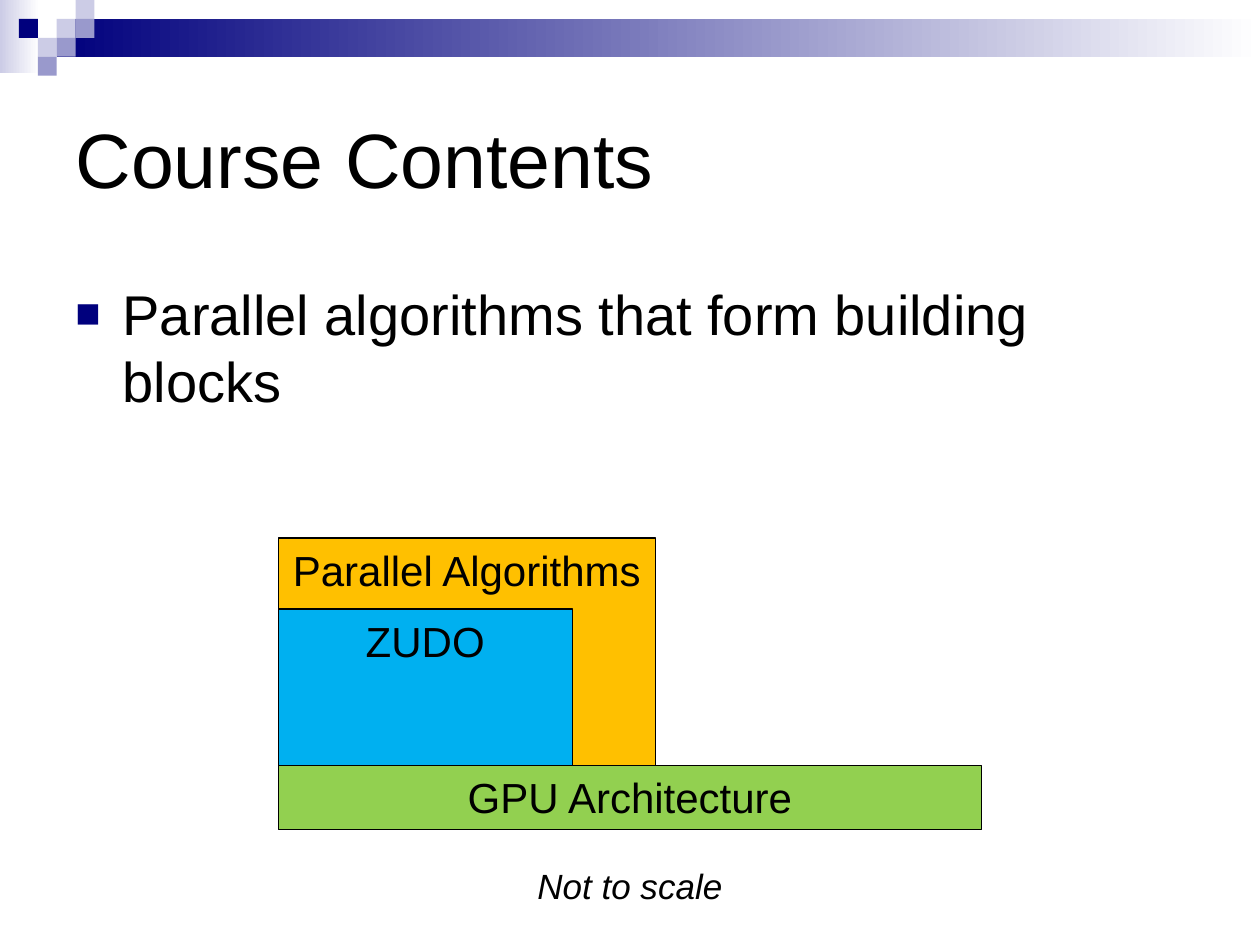
from lxml import etree
from pptx import Presentation
from pptx.dml.color import RGBColor
from pptx.enum import shapes, text
from pptx.oxml.ns import qn
from pptx.util import Pt

HUES = {
    "navy": "00007D", "mid": "9999CC", "pale": "CCCCE6", "white": "FFFFFF",
    "black": "000000", "gold": "FFC000", "blue": "00B0F0", "green": "92D050",
}
TITLE = "Course Contents"
POINT = "Parallel algorithms that form building blocks"
NOTE = "Not to scale"
BANDS = [
    ((0, 0, 22.5, 42), "pale"),
    ((32.5, 11, 687.5, 21.5), "navy"),
]
TILE = 10.8
TILES = [
    (3, 1, "pale"), (4, 0, "pale"), (4, 1, "mid"), (2, 2, "pale"),
    (1, 1, "navy"), (3, 2, "mid"), (2, 3, "mid"),
]
LEFT = 159
BLOCKS = [
    ("Parallel Algorithms", 307.5, 215.5, 152.5, "gold"),
    ("ZUDO", 348, 168, 94, "blue"),
    ("GPU Architecture", 437.5, 402, 36.5, "green"),
]


def hue(name):
    return RGBColor.from_string(HUES[name])


def rect(box, fill):
    item = slide.shapes.add_shape(shapes.MSO_SHAPE.RECTANGLE, *map(Pt, box))
    item.shadow.inherit = False
    item.fill.solid()
    item.fill.fore_color.rgb = hue(fill)
    item.line.fill.background()
    return item


def write(item, words, size, align, anchor):
    frame = item.text_frame
    frame.word_wrap = True
    frame.auto_size = text.MSO_AUTO_SIZE.NONE
    frame.vertical_anchor = anchor
    para = frame.paragraphs[0]
    para.text = words
    para.alignment = align
    para.font.name = "Arial"
    para.font.size = Pt(size)
    para.font.color.rgb = hue("black")
    return para


def bullet(para, mark, tint, scale):
    props = para._p.get_or_add_pPr()
    props.set("marL", str(Pt(27)))
    props.set("indent", str(-Pt(27)))
    color = etree.SubElement(props, qn("a:buClr"))
    etree.SubElement(color, qn("a:srgbClr"), val=HUES[tint])
    etree.SubElement(props, qn("a:buSzPct"), val=str(scale * 1000))
    etree.SubElement(props, qn("a:buFont"), typeface="Arial")
    etree.SubElement(props, qn("a:buChar"), char=mark)
    props.append(props.find(qn("a:defRPr")))


deck = Presentation()
deck.slide_width, deck.slide_height = Pt(720), Pt(540)
slide = deck.slides.add_slide(deck.slide_layouts[5])
left, mid = text.PP_ALIGN.LEFT, text.PP_ALIGN.CENTER
top, half = text.MSO_ANCHOR.TOP, text.MSO_ANCHOR.MIDDLE

for box, tint in BANDS:
    fill = rect(box, tint).fill
    fill.gradient()
    fill.gradient_angle = 0
    for stop, name, spot in zip(fill.gradient_stops, (tint, "white"), (0, 1)):
        stop.color.rgb = hue(name)
        stop.position = spot

for col, row, tint in TILES:
    rect((col * TILE, row * TILE, TILE, TILE), tint)

head = slide.shapes.title
head.left, head.top, head.width, head.height = map(Pt, (36, 36, 648, 108))
write(head, TITLE, 44, left, half)

for words, y, wide, high, tint in BLOCKS:
    block = rect((LEFT, y, wide, high), tint)
    block.line.color.rgb = hue("black")
    block.line.width = Pt(0.75)
    write(block, words, 24, mid, top)

body = slide.shapes.add_textbox(*map(Pt, (36, 156, 648, 84)))
para = write(body, POINT, 32, left, top)
para.space_before = Pt(3)
bullet(para, "■", "navy", 75)

note = slide.shapes.add_textbox(*map(Pt, (0, 490.5, 720, 31.5)))
write(note, NOTE, 20, mid, top).font.italic = True

deck.save("out.pptx")
